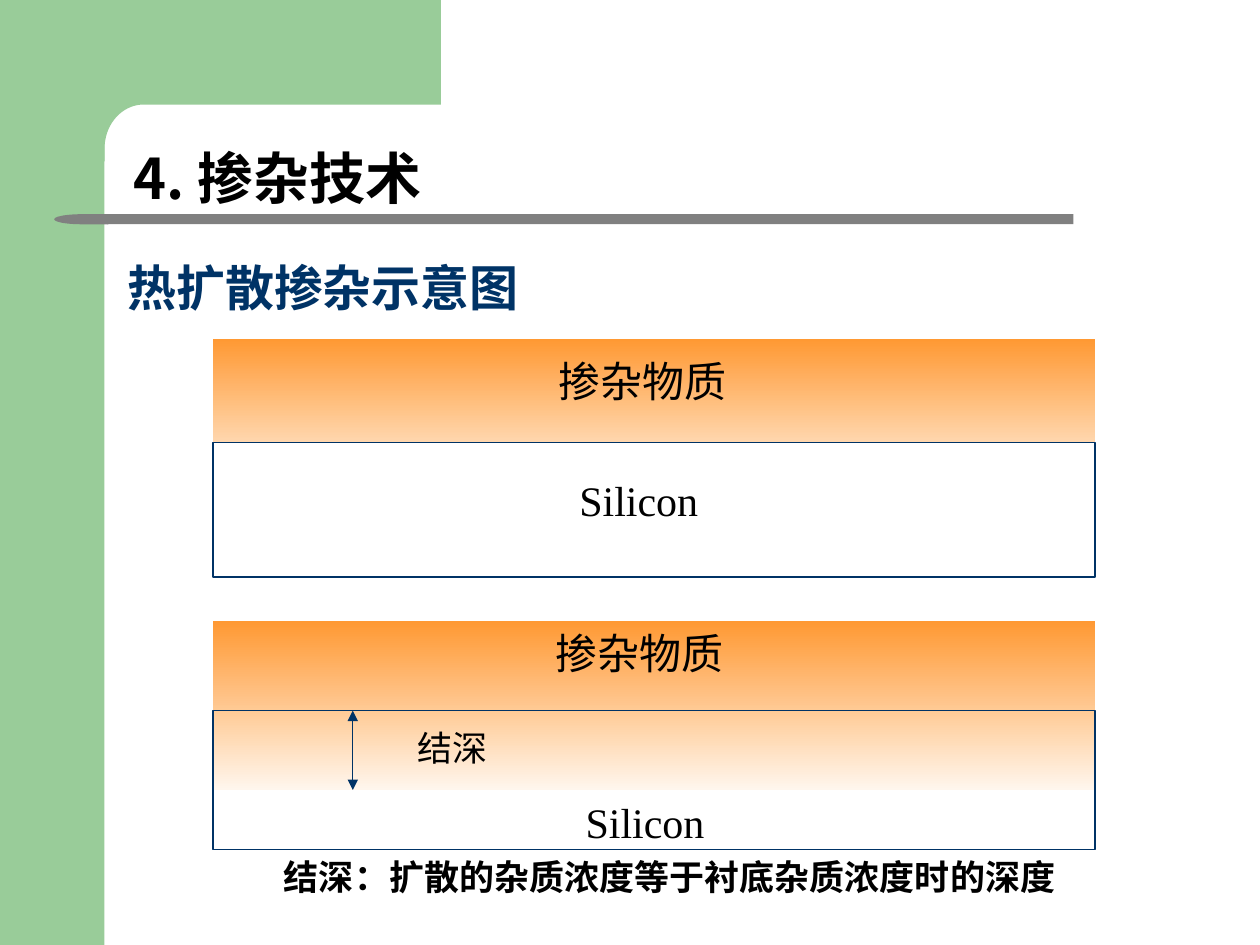
import math
from dataclasses import dataclass

from lxml import etree
from pptx import Presentation
from pptx.dml.color import RGBColor as Rgb
from pptx.enum import shapes as s, text as t
from pptx.oxml.ns import qn
from pptx.util import Inches, Pt


@dataclass(frozen=True)
class Theme:
    green: str = "99CC99"
    gray: str = "808080"
    navy: str = "003366"
    black: str = "000000"
    orange: str = "FF9933"
    peach: str = "FFD7AF"
    cream: str = "FFF6ED"
    sans: str = "Noto Sans CJK SC"
    serif: str = "Times New Roman"
    head: int = 32
    title: int = 28
    label: int = 24
    note: int = 20
    line: float = 0.75


class Deck:
    def __init__(self, theme):
        self.theme = theme
        self.prs = Presentation()
        self.prs.slide_width, self.prs.slide_height = Inches(10), Inches(7.5)
        self.slide = self.prs.slides.add_slide(self.prs.slide_layouts[5])
        self.shapes = self.slide.shapes

    def shape(self, kind, box, fill=None, line=None):
        """Fill is a colour, a pair of gradient colours, or None."""
        shp = self.shapes.add_shape(kind, *map(Inches, box))
        self.paint(shp, fill, line)
        return shp

    def paint(self, shp, fill, line=None):
        shp.shadow.inherit = False
        if fill is None:
            shp.fill.background()
        elif isinstance(fill, str):
            shp.fill.solid()
            shp.fill.fore_color.rgb = Rgb.from_string(fill)
        else:
            shp.fill.gradient()
            shp.fill.gradient_angle = 270
            for stop, color in zip(shp.fill.gradient_stops, fill):
                stop.color.rgb = Rgb.from_string(color)
        if line:
            self.stroke(shp.line)
            shp.line.color.rgb = Rgb.from_string(line)
        else:
            shp.line.fill.background()

    def stroke(self, line):
        line.color.rgb = Rgb.from_string(self.theme.navy)
        line.width = Pt(self.theme.line)

    def outline(self, points, fill):
        form = self.shapes.build_freeform(*map(Inches, points[0]))
        form.add_line_segments([tuple(map(Inches, p)) for p in points[1:]])
        self.paint(form.convert_to_shape(), fill)

    def words(self, shp, copy, size, face, color, bold=False,
              align=t.PP_ALIGN.CENTER):
        frame = shp.text_frame
        frame.word_wrap = True
        frame.text = copy
        para = frame.paragraphs[0]
        para.alignment = align
        font = para.font
        font.size, font.bold, font.name = Pt(size), bold, face
        font.color.rgb = Rgb.from_string(color)
        base = para._p.pPr.find(qn("a:defRPr"))
        etree.SubElement(base, qn("a:ea")).set("typeface", self.theme.sans)
        return frame

    def heading(self, shp, copy, size, color):
        frame = self.words(shp, copy, size, self.theme.sans, color, True,
                           t.PP_ALIGN.LEFT)
        frame.auto_size = t.MSO_AUTO_SIZE.NONE
        frame.vertical_anchor = t.MSO_ANCHOR.BOTTOM
        frame.paragraphs[0].line_spacing = 0.9

    def title(self, copy, box):
        shp = self.shapes.title
        shp.left, shp.top, shp.width, shp.height = map(Inches, box)
        self.heading(shp, copy, self.theme.title, self.theme.navy)

    def label(self, copy, box, size, face=None, bold=False):
        shp = self.shapes.add_textbox(*map(Inches, box))
        frame = self.words(shp, copy, size, face or self.theme.serif,
                           self.theme.black, bold)
        frame.auto_size = t.MSO_AUTO_SIZE.SHAPE_TO_FIT_TEXT

    def arrow(self, x, top, base):
        """Vertical line with a head at both ends."""
        link = self.shapes.add_connector(
            s.MSO_CONNECTOR.STRAIGHT, *map(Inches, (x, top, x, base)))
        self.stroke(link.line)
        props = link._element.spPr
        for end in ("a:headEnd", "a:tailEnd"):
            etree.SubElement(props.find(qn("a:ln")),
                             qn(end)).set("type", "triangle")
        etree.SubElement(props, qn("a:effectLst"))


def border(deck):
    """Green side band with a rounded inner corner, and the gray rule."""
    th, kind = deck.theme, s.MSO_SHAPE
    deck.shape(kind.RECTANGLE, (0, 0, 0.83, 7.5), th.green)
    turns = [math.radians(a) for a in range(90, 181, 5)]
    curve = [(1.14 + 0.31 * math.cos(a), 1.18 - 0.35 * math.sin(a))
             for a in turns]
    deck.outline([(0.5, 0), (3.5, 0), (3.5, 0.83), *curve,
                  (0.83, 1.28), (0.5, 1.28)], th.green)
    deck.shape(kind.RECTANGLE, (0.85, 1.7, 7.67, 0.08), th.gray)
    cap = deck.shape(kind.FLOWCHART_DELAY, (0.43, 1.7, 0.43, 0.08), th.gray)
    cap.rotation = 180


def main():
    th = Theme()
    deck = Deck(th)
    border(deck)

    head = deck.shape(s.MSO_SHAPE.ROUNDED_RECTANGLE, (0.91, 0.99, 4.25, 0.79))
    head.adjustments[0] = 0.22
    deck.heading(head, "4. 掺杂技术", th.head, th.black)
    deck.title("热扩散掺杂示意图", (0.91, 1.94, 6.22, 0.63))

    # dopant top, height, end colour; silicon top, height; label places
    stages = [
        (2.69, 0.83, th.peach, 3.51, 1.07, (3.93, 2.77), (4.01, 3.72)),
        (4.93, 1.34, th.cream, 5.64, 1.1, (3.9, 4.93), (4.06, 6.27)),
    ]
    rect, left, wide = s.MSO_SHAPE.RECTANGLE, 1.69, 7
    for top, high, end, base, deep, dope, wafer in stages:
        deck.shape(rect, (left, top, wide, high), (th.orange, end))
        deck.shape(rect, (left, base, wide, deep), line=th.navy)
        deck.label("掺杂物质 ", (*dope, 2.42, 0.5), th.label)
        deck.label("Silicon", (*wafer, 2.12, 0.5), th.label)

    deck.arrow(2.8, 5.64, 6.27)
    deck.label("结深", (2.87, 5.72, 1.45, 0.44), th.note)
    deck.label("结深：扩散的杂质浓度等于衬底杂质浓度时的深度",
               (1.14, 6.74, 8.35, 0.44), th.note, th.sans, True)
    deck.prs.save("out.pptx")


if __name__ == "__main__":
    main()
